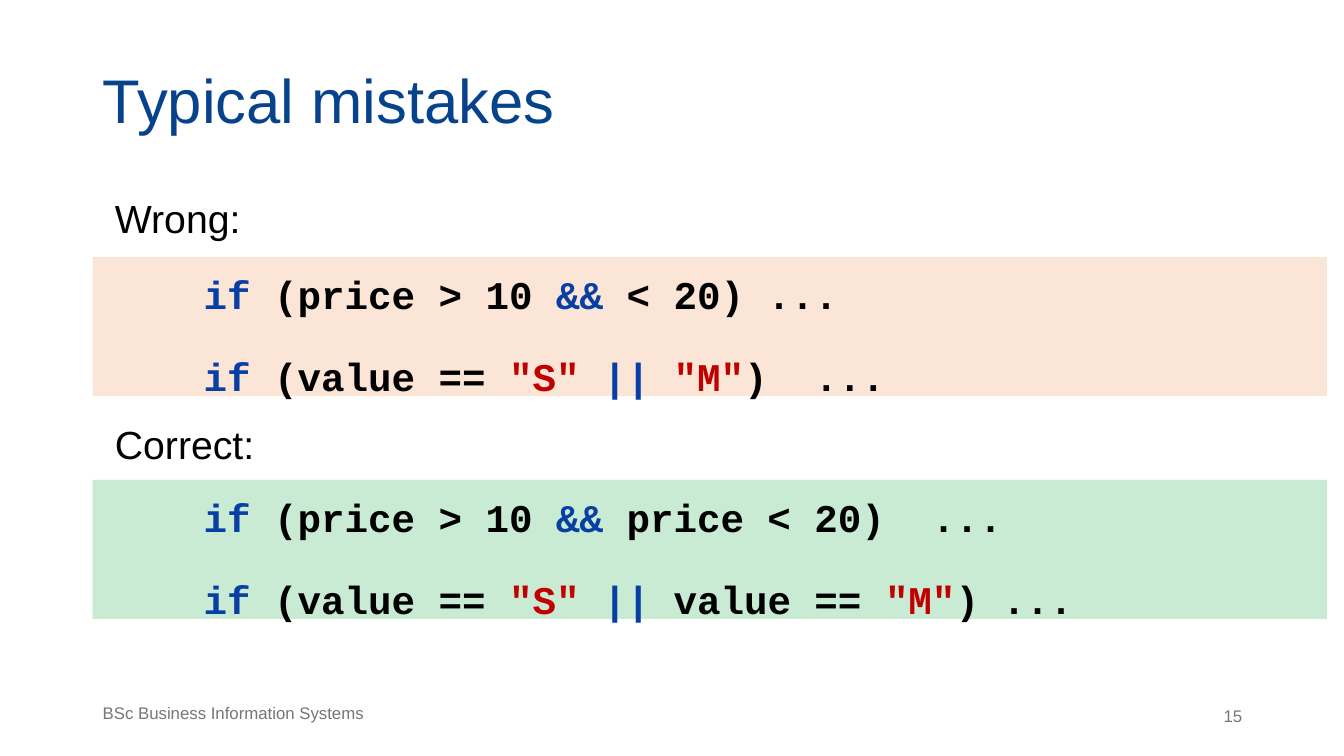
"""Builds the slide on typical mistakes in conditions."""
import pptx
import pptx.dml.color
import pptx.enum.shapes
import pptx.enum.text
import pptx.util

RGBColor = pptx.dml.color.RGBColor
BLACK = RGBColor(0x00, 0x00, 0x00)
GREY = RGBColor(0x76, 0x76, 0x76)
TITLE_BLUE = RGBColor(0x07, 0x42, 0x8C)
CODE_BLUE = RGBColor(0x08, 0x3F, 0xA4)
STRING_RED = RGBColor(0xC0, 0x00, 0x00)
WRONG_FILL = RGBColor(0xFB, 0xE5, 0xD6)
CORRECT_FILL = RGBColor(0xC9, 0xEB, 0xD3)

EMU_PER_PX = 9144
LEFT = 92
LEFT_ALIGN = pptx.enum.text.PP_ALIGN.LEFT
RIGHT_ALIGN = pptx.enum.text.PP_ALIGN.RIGHT
TOP = pptx.enum.text.MSO_ANCHOR.TOP
BOTTOM = pptx.enum.text.MSO_ANCHOR.BOTTOM

IF = ("if ", CODE_BLUE)
PRICE_TEST = [IF, ("(price > 10 ", BLACK), ("&&", CODE_BLUE)]
VALUE_TEST = [IF, ("(value == ", BLACK), ('"S" ', STRING_RED), ("|| ", CODE_BLUE)]
MEDIUM = ('"M"', STRING_RED)

EXAMPLES = [
    ("Wrong:", WRONG_FILL, [
        PRICE_TEST + [(" < 20) ...", BLACK)],
        VALUE_TEST + [MEDIUM, (")  ...", BLACK)],
    ]),
    ("Correct:", CORRECT_FILL, [
        PRICE_TEST + [(" price < 20)  ...", BLACK)],
        VALUE_TEST + [("value == ", BLACK), MEDIUM, (") ...", BLACK)],
    ]),
]


def px(*lengths):
    return [pptx.util.Emu(length * EMU_PER_PX) for length in lengths]


class Deck:
    """Holds the style and the current slide."""

    def __init__(self, width, height):
        self.presentation = pptx.Presentation()
        self.presentation.slide_width, self.presentation.slide_height = px(width, height)
        self.slide = self.presentation.slides.add_slide(self.presentation.slide_layouts[5])
        self.text_font = "Arial"
        self.code_font = "Courier New"

    def frame(self, shape, inset_x, inset_y, anchor=TOP):
        frame = shape.text_frame
        frame.word_wrap = True
        frame.auto_size = pptx.enum.text.MSO_AUTO_SIZE.NONE
        frame.vertical_anchor = anchor
        frame.margin_left, frame.margin_top = px(inset_x, inset_y)
        frame.margin_right, frame.margin_bottom = px(10, inset_y)
        return frame

    def set_text(self, frame, text, size, color, align=LEFT_ALIGN, spacing=0.9):
        paragraph = frame.paragraphs[0]
        paragraph.text = text
        paragraph.alignment = align
        paragraph.line_spacing = spacing
        paragraph.font.name = self.text_font
        paragraph.font.size = pptx.util.Pt(size)
        paragraph.font.color.rgb = color

    def title(self, text, *box):
        title = self.slide.shapes.title
        title.left, title.top, title.width, title.height = px(*box)
        self.set_text(self.frame(title, 10, 10, BOTTOM), text, 44, TITLE_BLUE)

    def label(self, text, *box):
        label = self.slide.shapes.add_textbox(*px(*box))
        self.set_text(self.frame(label, 22, 10), text, 28, BLACK)

    def footer(self, text, *box, align=LEFT_ALIGN, spacing=0.9):
        footer = self.slide.shapes.add_textbox(*px(*box))
        self.set_text(self.frame(footer, 10, 5), text, 12, GREY, align, spacing)

    def code(self, lines, fill, *box):
        panel = self.slide.shapes.add_shape(pptx.enum.shapes.MSO_SHAPE.RECTANGLE, *px(*box))
        panel.shadow.inherit = False
        panel.fill.solid()
        panel.fill.fore_color.rgb = fill
        panel.line.fill.background()
        frame = self.frame(panel, 110, 13)
        for number, tokens in enumerate(lines):
            paragraph = frame.add_paragraph() if number else frame.paragraphs[0]
            paragraph.alignment = LEFT_ALIGN
            paragraph.space_after = pptx.util.Pt(25)
            paragraph.font.name = self.code_font
            paragraph.font.size = pptx.util.Pt(28)
            paragraph.font.bold = True
            for text, color in tokens:
                run = paragraph.add_run()
                run.text = text
                run.font.color.rgb = color


def main():
    deck = Deck(1333, 750)
    deck.title("Typical mistakes", LEFT, 52, 938, 94)
    for number, (heading, fill, lines) in enumerate(EXAMPLES):
        deck.label(heading, LEFT, 188 + number * 224, 1228, 60)
        deck.code(lines, fill, LEFT, 255 + number * 221, 1224, 138)
    deck.footer("BSc Business Information Systems", LEFT, 694, 339, 41)
    deck.footer("15", 1019, 695, 223, 40, align=RIGHT_ALIGN, spacing=1.0)
    deck.presentation.save("out.pptx")


if __name__ == "__main__":
    main()
